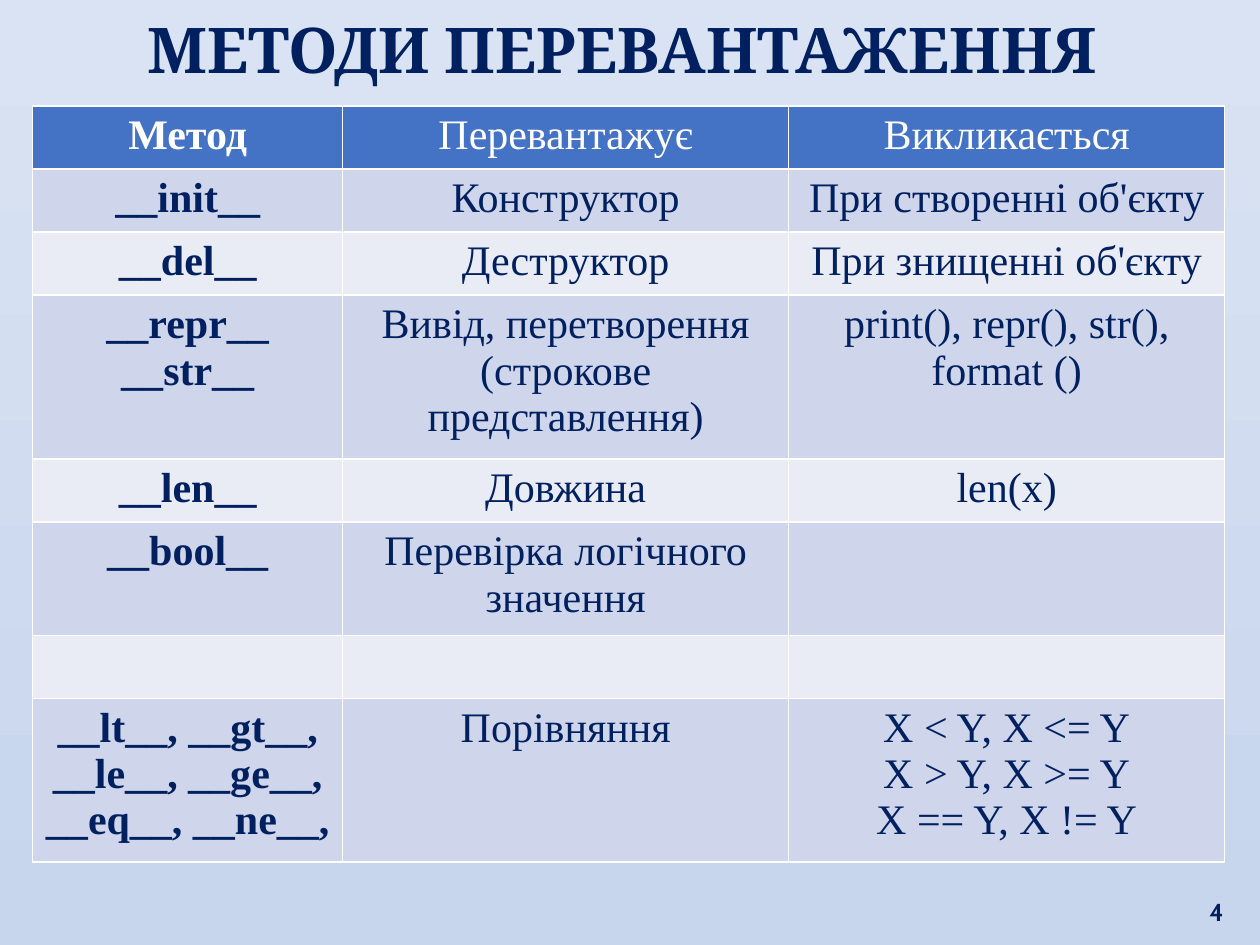
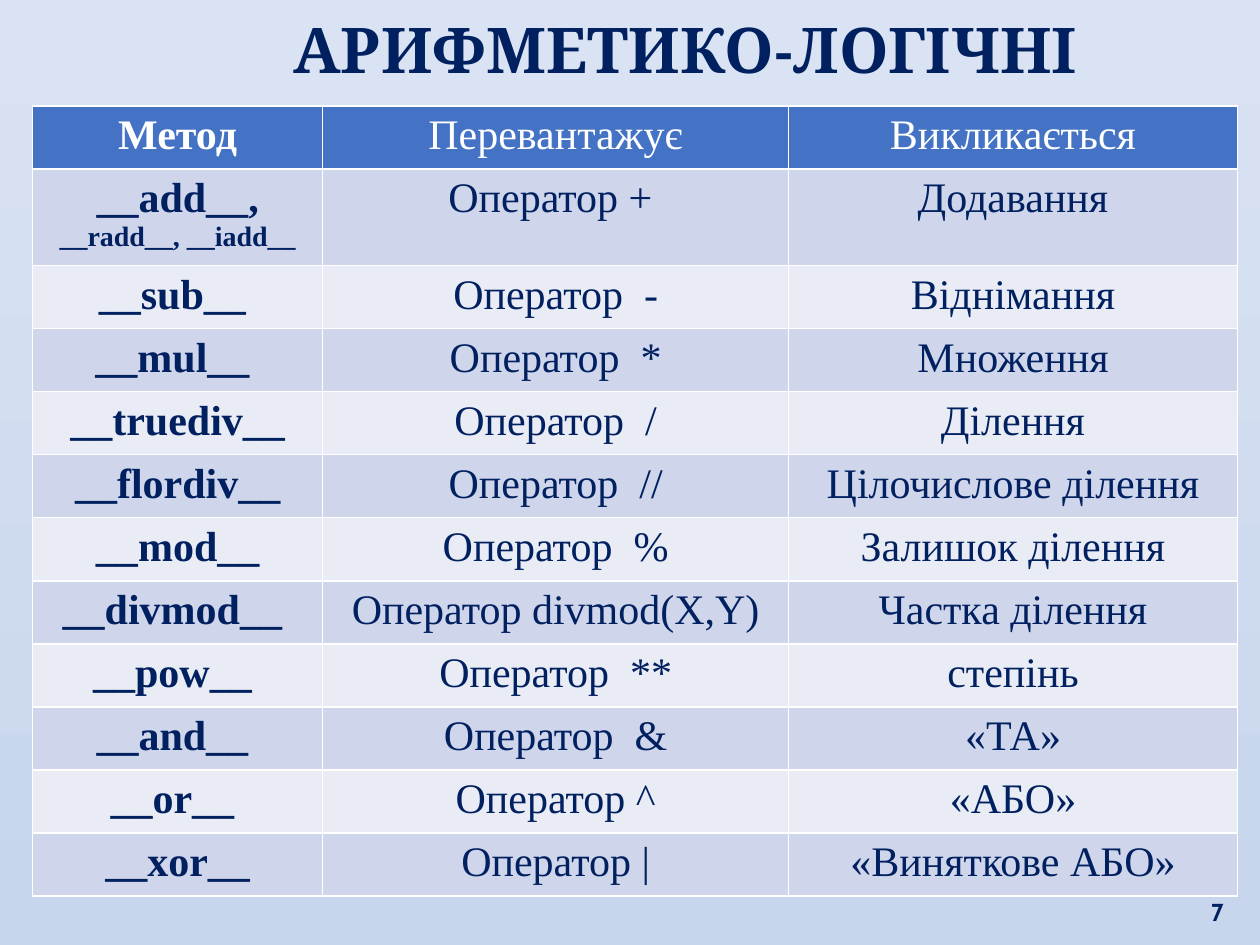
import pptx
import pptx.dml.color
import pptx.enum.text
import pptx.util

Inches = pptx.util.Inches
Pt = pptx.util.Pt
PP_ALIGN = pptx.enum.text.PP_ALIGN
MSO_ANCHOR = pptx.enum.text.MSO_ANCHOR

NAVY = "002060"
WHITE = "FFFFFF"
HEADER_BLUE = "4472C4"
BAND_FILLS = ["E9EBF5", "CFD5EA"]
BACKGROUND_COLOURS = ["DAE3F3", "C7D5ED"]
HEADERS = ["Метод", "Перевантажує", "Викликається"]
ROW_HEIGHT = 0.5


def rgb(colour):
    return pptx.dml.color.RGBColor.from_string(colour)


def format_text(text_frame, font_name, size, colour, bold, alignment):
    for paragraph in text_frame.paragraphs:
        paragraph.alignment = alignment
        for run in paragraph.runs:
            run.font.name = font_name
            run.font.size = Pt(size)
            run.font.bold = bold
            run.font.color.rgb = rgb(colour)


overload_rows = [
    ["__init__", "Конструктор", "При створенні об'єкту"],
    ["__del__", "Деструктор", "При знищенні об'єкту"],
    ["__repr__\n__str__", "Вивід, перетворення (строкове представлення)",
     "print(), repr(), str(), format ()"],
    ["__len__", "Довжина", "len(x)"],
    ["__bool__", "Перевірка логічного значення", ""],
    ["", "", ""],
    ["__lt__, __gt__,\n__le__, __ge__,\n__eq__, __ne__,", "Порівняння",
     "X < Y, X <= Y\nX > Y, X >= Y\nX == Y, X != Y"],
]
arithmetic_rows = [
    ["__add__, ", "Оператор + ", "Додавання"],
    ["__sub__ ", "Оператор  -", "Віднімання"],
    ["__mul__ ", "Оператор  *", "Множення"],
    ["__truediv__", "Оператор  /", "Ділення"],
    ["__flordiv__", "Оператор  //", "Цілочислове ділення"],
    ["__mod__", "Оператор  %", "Залишок ділення"],
    ["__divmod__ ", "Оператор divmod(X,Y)", "Частка ділення"],
    ["__pow__ ", "Оператор  **", "степінь"],
    ["__and__ ", "Оператор  &", "«ТА»"],
    ["__or__ ", "Оператор ^", "«АБО»"],
    ["__xor__", "Оператор |", "«Виняткове АБО»"],
]
slides = [
    ("МЕТОДИ ПЕРЕВАНТАЖЕННЯ", 0.1, "4", [2.46, 3.54, 3.46],
     {3: 1.3, 5: 0.9, 7: 1.3}, overload_rows),
    ("АРИФМЕТИКО-ЛОГІЧНІ", 1.1, "7", [2.3, 3.7, 3.56],
     {1: 0.76}, arithmetic_rows),
]

presentation = pptx.Presentation()
presentation.slide_width = Inches(10)
presentation.slide_height = Inches(7.5)

background = presentation.slide_master.background.fill
background.gradient()
background.gradient_angle = 270
for stop, colour in zip(background.gradient_stops, BACKGROUND_COLOURS):
    stop.color.rgb = rgb(colour)

for title_text, title_indent, number, column_widths, tall_rows, body_rows in slides:
    slide = presentation.slides.add_slide(presentation.slide_layouts[5])

    title = slide.shapes.title
    title.left, title.top = Inches(0), Inches(0.08)
    title.width, title.height = Inches(9.88), Inches(0.66)
    title.text_frame.text = title_text
    title.text_frame.margin_left = Inches(title_indent)
    title.text_frame.vertical_anchor = MSO_ANCHOR.TOP
    title.text_frame.auto_size = pptx.enum.text.MSO_AUTO_SIZE.NONE
    title.text_frame.paragraphs[0].line_spacing = Pt(40)
    format_text(title.text_frame, "Cambria", 36, NAVY, True, PP_ALIGN.CENTER)

    number_box = slide.shapes.add_textbox(
        Inches(9.33), Inches(6.9), Inches(0.48), Inches(0.5))
    number_box.text_frame.text = number
    number_box.text_frame.word_wrap = True
    number_box.text_frame.vertical_anchor = MSO_ANCHOR.BOTTOM
    format_text(number_box.text_frame, "Cabin", 14, NAVY, True, PP_ALIGN.RIGHT)

    rows = [HEADERS] + body_rows
    row_heights = [tall_rows.get(index, ROW_HEIGHT) for index in range(len(rows))]
    table = slide.shapes.add_table(
        len(rows), len(HEADERS), Inches(0.26), Inches(0.84),
        Inches(sum(column_widths)), Inches(sum(row_heights))).table
    for column, width in zip(table.columns, column_widths):
        column.width = Inches(width)
    for row_index, texts in enumerate(rows):
        table.rows[row_index].height = Inches(row_heights[row_index])
        is_header = row_index == 0
        fill_colour = HEADER_BLUE if is_header else BAND_FILLS[row_index % 2]
        for column_index, text in enumerate(texts):
            cell = table.cell(row_index, column_index)
            cell.fill.solid()
            cell.fill.fore_color.rgb = rgb(fill_colour)
            cell.text_frame.text = text
            format_text(cell.text_frame, "Times New Roman", 24,
                        WHITE if is_header else NAVY, column_index == 0,
                        PP_ALIGN.CENTER)

add_cell = table.cell(1, 0)
variants_run = add_cell.text_frame.paragraphs[0].add_run()
variants_run.text = "__radd__, __iadd__"
format_text(add_cell.text_frame, "Times New Roman", 24, NAVY, True, PP_ALIGN.CENTER)
variants_run.font.size = Pt(16)

presentation.save("out.pptx")
